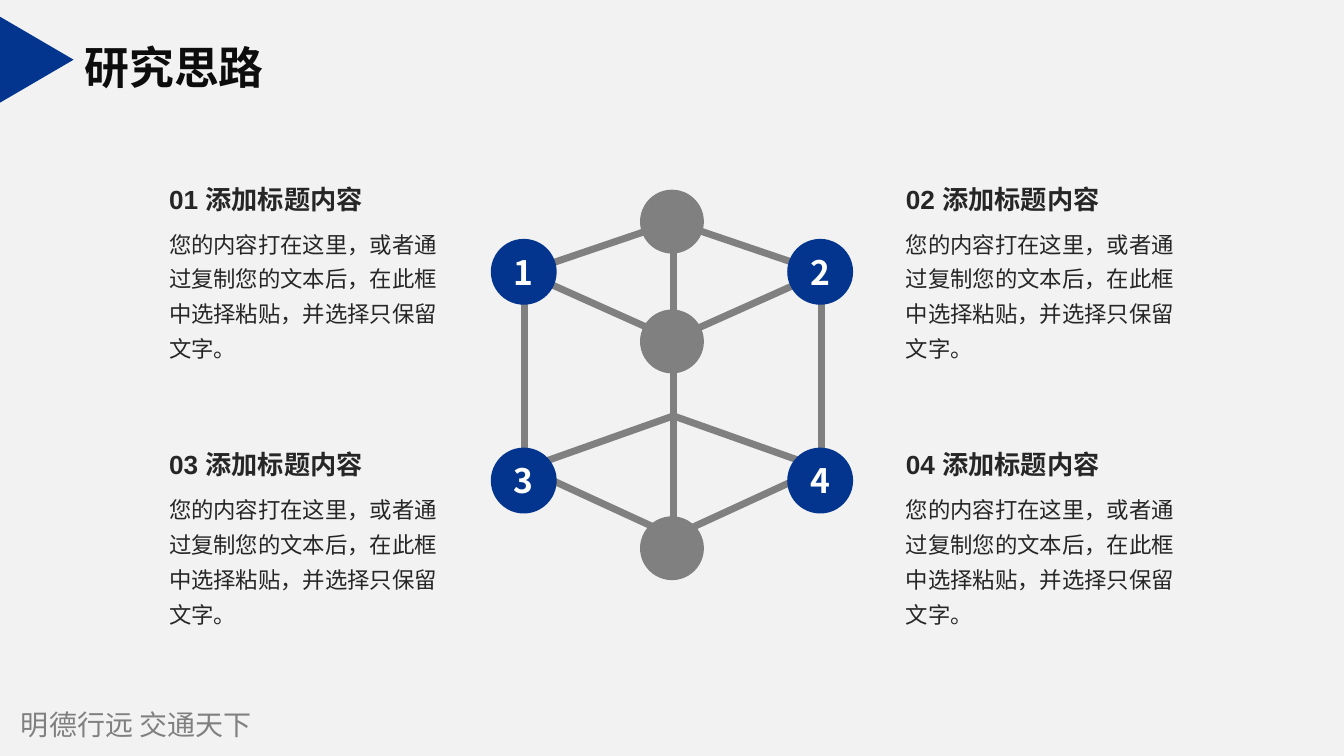
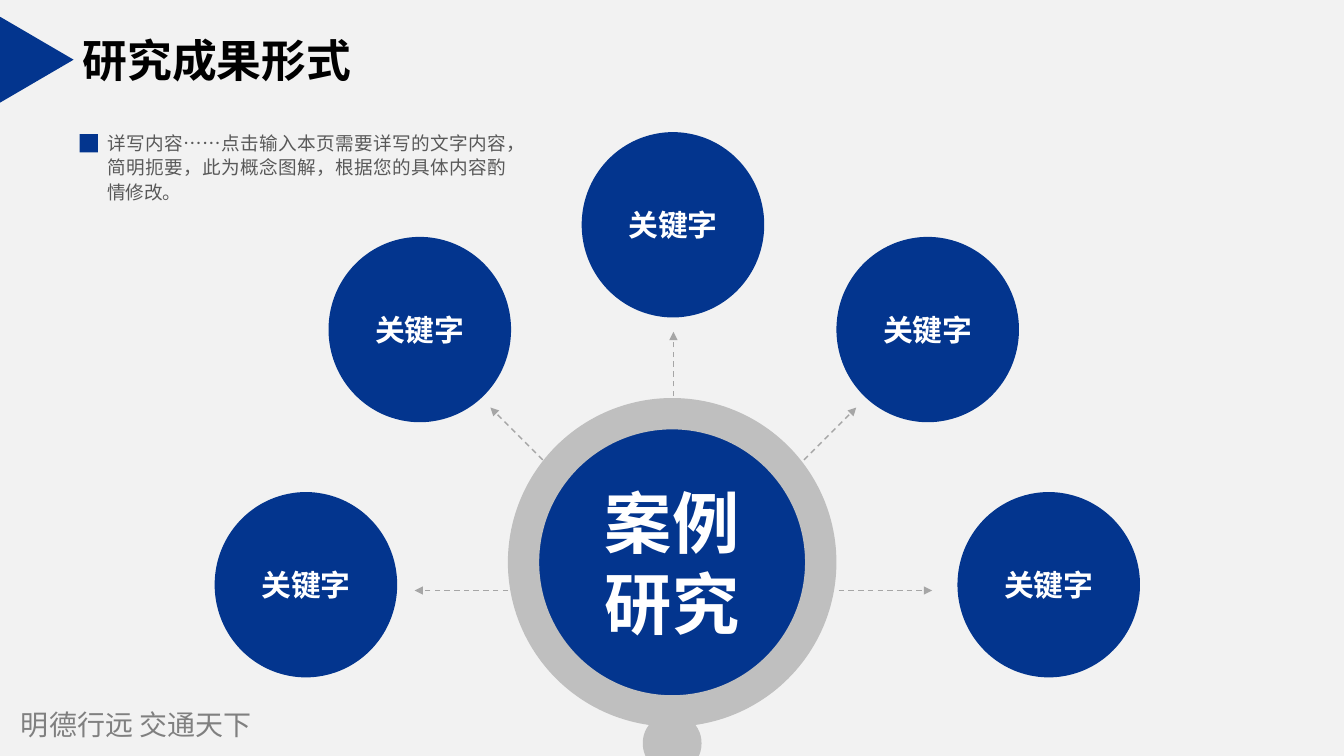
from math import cos, radians, sin

from lxml import etree
from pptx import Presentation
from pptx.dml.color import RGBColor
from pptx.enum.dml import MSO_LINE
from pptx.enum.shapes import MSO_CONNECTOR, MSO_SHAPE
from pptx.enum.text import MSO_ANCHOR, MSO_AUTO_SIZE, PP_ALIGN
from pptx.oxml.ns import qn
from pptx.util import Cm, Pt

LEFT, CENTER, JUSTIFY = PP_ALIGN.LEFT, PP_ALIGN.CENTER, PP_ALIGN.JUSTIFY
TOP, MIDDLE = MSO_ANCHOR.TOP, MSO_ANCHOR.MIDDLE
OVAL, RECT = MSO_SHAPE.OVAL, MSO_SHAPE.RECTANGLE
DONUT, PILL = MSO_SHAPE.DONUT, MSO_SHAPE.ROUNDED_RECTANGLE
WEDGE = MSO_SHAPE.ISOSCELES_TRIANGLE
STRAIGHT, DASH = MSO_CONNECTOR.STRAIGHT, MSO_LINE.DASH
FIXED = MSO_AUTO_SIZE.NONE

COLORS = {
    "page": "F2F2F2", "blue": "03358E", "white": "FFFFFF",
    "black": "000000", "ink": "0D0D0D", "text": "262626", "note": "595959",
    "gray": "808080", "ray": "A6A6A6", "ring": "BFBFBF",
}
ARIAL, SANS, FOOT = "Arial", "Noto Sans CJK SC", "Noto Sans CJK JP"
MOTTO = "明德行远 交通天下"
HEAD = "添加标题内容"
BODY = "您的内容打在这里，或者通过复制您的文本后，在此框中选择粘贴，并选择只保留文字。"
NOTE = "详写内容……点击输入本页需要详写的文字内容，简明扼要，此为概念图解，根据您的具体内容酌情修改。"


def color(name):
    return RGBColor.from_string(COLORS[name])


def write(shape, text, size, ink, face=SANS, bold=False, align=LEFT,
          anchor=TOP, pad=(0.25, 0.13), space=None):
    """Fill a shape with one paragraph; pad is the side and top inset in cm."""
    frame = shape.text_frame
    frame.word_wrap = True
    frame.auto_size = FIXED
    frame.vertical_anchor = anchor
    frame.margin_left = frame.margin_right = Cm(pad[0])
    frame.margin_top = frame.margin_bottom = Cm(pad[1])
    para = frame.paragraphs[0]
    para.text = text
    para.alignment = align
    if space:
        para.line_spacing = space
    font = para.font
    font.size, font.bold, font.name = Pt(size), bold, face
    font.color.rgb = color(ink)
    asian = FOOT if face == FOOT else SANS
    etree.SubElement(font._element, qn("a:ea"), typeface=asian)


def label(slide, box, text, size, ink, **style):
    area = slide.shapes.add_textbox(*map(Cm, box))
    write(area, text, size, ink, **style)


def form(slide, kind, box, fill):
    shape = slide.shapes.add_shape(kind, *map(Cm, box))
    shape.shadow.inherit = False
    shape.fill.solid()
    shape.fill.fore_color.rgb = color(fill)
    shape.line.fill.background()
    return shape


def disc(slide, box, text, size):
    shape = form(slide, OVAL, box, "blue")
    write(shape, text, size, "white", bold=True, align=CENTER,
          anchor=MIDDLE, pad=(0, 0))


def link(slide, start, end, ink, width):
    line = slide.shapes.add_connector(STRAIGHT, *map(Cm, start + end))
    line.line.color.rgb = color(ink)
    line.line.width = Pt(width)
    etree.SubElement(line._element.spPr, qn("a:effectLst"))
    return line


def page(deck, title, left, top, ink):
    """Add a slide with the shared title, wedge and footer."""
    slide = deck.slides.add_slide(deck.slide_layouts[5])
    head = slide.shapes.title
    head.left, head.top = Cm(left), Cm(top)
    head.width, head.height = Cm(20), Cm(1.7)
    write(head, title, 32, ink, face=ARIAL, bold=True, anchor=MIDDLE,
          pad=(0.33, 0.18))
    wedge = form(slide, WEDGE, (-0.15, 0.58, 2.16, 1.85), "blue")
    wedge.rotation = 90
    label(slide, (0.28, 17.7, 10, 1.12), MOTTO, 20, "gray", face=FOOT)
    return slide


def cube(slide, left, top):
    """Draw the net of gray bars with its numbered corners."""
    span = 9.2
    bars = [
        ((4.6, 0.81), (0.8, 2.1)), ((4.45, 3.7), (1.1, 2.2)),
        ((4.6, 5.7), (1.13, 6.93)), ((4.32, 8.6), (1.32, 7.22)),
        ((0.86, 2.26), (0.86, 7.14)),
    ]
    twins = [tuple((span - x, y) for x, y in bar) for bar in bars]
    spine = ((span / 2, 1.17), (span / 2, 8.69))
    for bar in bars + twins + [spine]:
        start, end = ((left + x, top + y) for x, y in bar)
        link(slide, start, end, "gray", 5)
    for y in (0, 3.02, 8.23):
        form(slide, OVAL, (left + 3.76, top + y, 1.61, 1.61), "gray")
    for i in range(4):
        row, col = divmod(i, 2)
        box = (left + 7.47 * col, top + 1.24 + 5.26 * row, 1.66, 1.66)
        disc(slide, box, str(i + 1), 24)


def block(slide, left, top, number):
    label(slide, (left, top, 7.8, 1.07), f"{number:02} {HEAD}", 18.7, "text",
          face=ARIAL, bold=True)
    label(slide, (left, top + 1, 7.44, 3.73), BODY, 16, "text", space=1.3)


def ideas(deck):
    slide = page(deck, "研究思路", 1.8, 0.84, "ink")
    cube(slide, 12.37, 4.78)
    for i in range(4):
        row, col = divmod(i, 2)
        block(slide, 4.01 + 18.57 * col, 4.48 + 6.7 * row, i + 1)


def rays(slide, x, y, reach):
    for turn in range(0, 181, 45):
        angle = radians(turn)
        end = (x + reach * cos(angle), y - reach * sin(angle))
        ray = link(slide, (x, y), end, "ray", 1)
        ray.line.dash_style = DASH
        etree.SubElement(ray.line._get_or_add_ln(), qn("a:tailEnd"),
                         type="triangle")


def lens(slide, left, top):
    """Draw the ringed hub and its handle."""
    size, rim = 8.28, 0.79
    core = size - 2 * rim + 0.2
    edge = (size - core) / 2
    disc(slide, (left + edge, top + edge, core, core), "案例研究", 48)
    ring = form(slide, DONUT, (left, top, size, size), "ring")
    ring.adjustments[0] = rim / size
    grip = form(slide, PILL, (left + 3.4, top + 7.95, 1.48, 1.5), "ring")
    grip.adjustments[0] = 0.5


def note(slide, left, top):
    form(slide, RECT, (left, top + 0.1, 0.46, 0.46), "blue")
    label(slide, (left + 0.69, top, 10.08, 1.78), NOTE, 13.3, "note",
          align=JUSTIFY, pad=(0, 0), space=Pt(17.3))


def results(deck):
    slide = page(deck, "研究成果形式", 1.75, 0.66, "black")
    rays(slide, 16.97, 14.88, 6.52)
    lens(slide, 12.8, 10.03)
    spots = [(5.41, 12.4), (8.28, 5.97), (14.66, 3.33), (21.08, 5.97),
             (24.13, 12.4)]
    for x, y in spots:
        disc(slide, (x, y, 4.6, 4.67), "关键字", 21.3)
    note(slide, 2.01, 3.28)


def main():
    deck = Presentation()
    deck.slide_width, deck.slide_height = Cm(33.87), Cm(19.05)
    back = deck.slide_master.background.fill
    back.solid()
    back.fore_color.rgb = color("page")
    ideas(deck)
    results(deck)
    deck.save("out.pptx")


if __name__ == "__main__":
    main()
